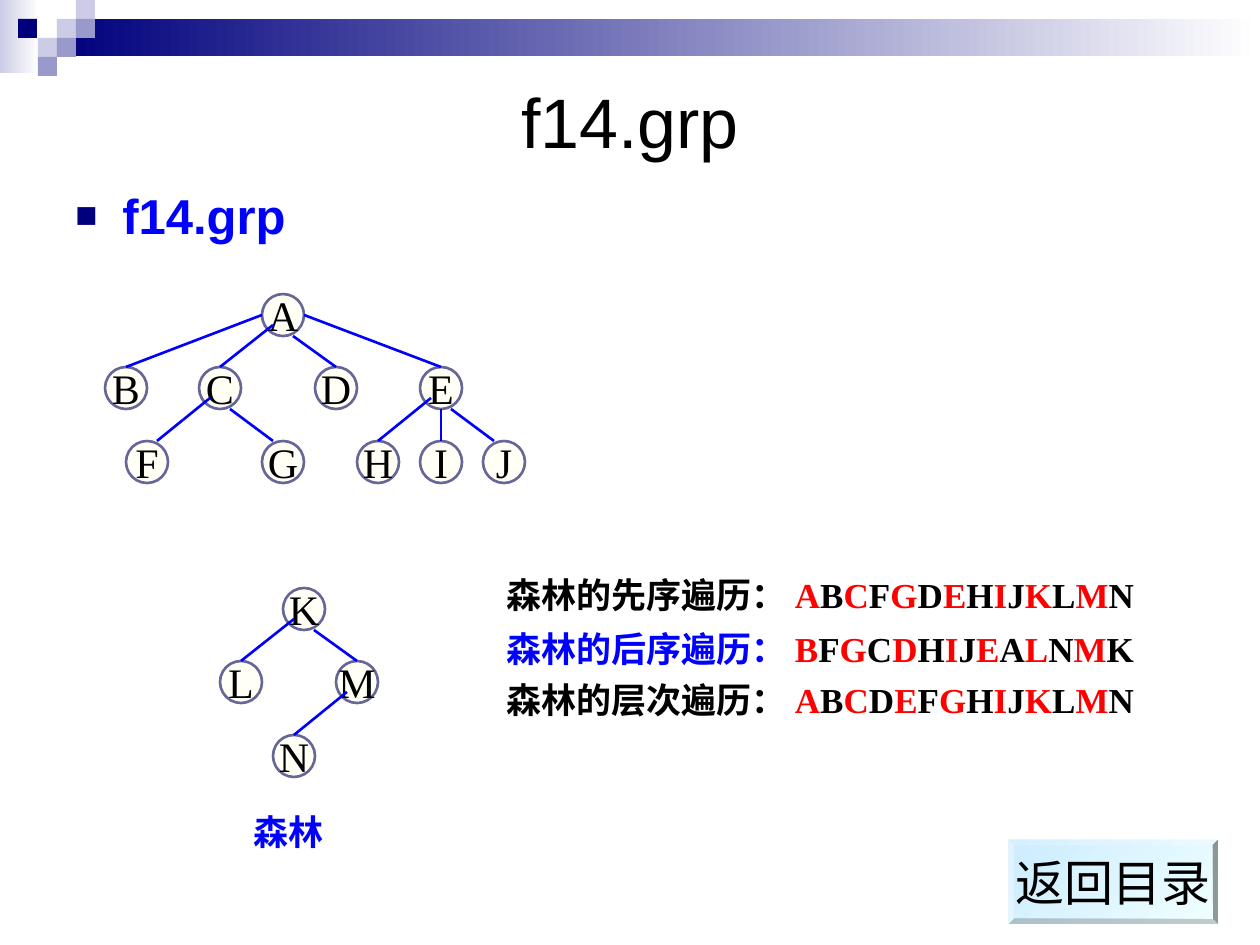
from lxml.etree import SubElement
from pptx import Presentation
from pptx.dml.color import RGBColor
from pptx.enum.shapes import MSO_CONNECTOR as LINE, MSO_SHAPE as SHAPE
from pptx.enum.text import MSO_ANCHOR as ANCHOR, PP_ALIGN as ALIGN
from pptx.oxml.ns import qn
from pptx.util import Emu, Pt

PX = 914400 // 126
BLACK = RGBColor(0x00, 0x00, 0x00)
WHITE = RGBColor(0xFF, 0xFF, 0xFF)
RED = RGBColor(0xFF, 0x00, 0x00)
BLUE = RGBColor(0x00, 0x00, 0xFF)
NAVY = RGBColor(0x00, 0x00, 0x7D)
LILAC = RGBColor(0xCC, 0xCC, 0xE6)
VIOLET = RGBColor(0x99, 0x99, 0xCC)
RING = RGBColor(0x66, 0x66, 0x99)
IVORY = RGBColor(0xFF, 0xFF, 0xF5)
SKY = RGBColor(0xCC, 0xEC, 0xFF)
AZURE = RGBColor(0xF0, 0xFF, 0xFF)
SANS, SERIF = "Arial", "Times New Roman"

prs = Presentation()
prs.slide_width, prs.slide_height = Emu(1260 * PX), Emu(945 * PX)
slide = prs.slides.add_slide(prs.slide_layouts[6])
shapes = slide.shapes


def add_box(kind, box, fill=None, angle=None):
    """Add a shape, or a text box when kind is None; two fill colours make a gradient."""
    at = [Emu(v * PX) for v in box]
    if kind is None:
        return shapes.add_textbox(*at)
    s = shapes.add_shape(kind, *at)
    s.shadow.inherit = False
    s.line.fill.background()
    if angle is None:
        s.fill.solid()
        s.fill.fore_color.rgb = fill
    else:
        s.fill.gradient()
        s.fill.gradient_angle = angle
        for stop, position, color in zip(s.fill.gradient_stops, (0, 1), fill):
            stop.position, stop.color.rgb = position, color
    return s


def write(s, runs, size, font, bold=False, align=ALIGN.CENTER,
          anchor=ANCHOR.MIDDLE, wrap=False, before=0):
    """Fill a shape with one paragraph of (text, colour) runs and return it."""
    tf = s.text_frame
    tf.word_wrap, tf.vertical_anchor = wrap, anchor
    p = tf.paragraphs[0]
    p.alignment, p.space_before = align, Pt(before)
    for text, color in runs:
        r = p.add_run()
        r.text = text
        for name, value in {"size": Pt(size), "name": font, "bold": bold}.items():
            setattr(r.font, name, value)
        r.font.color.rgb = color
    return p


# Header band and squares
add_box(SHAPE.RECTANGLE, (0, 0, 39, 73), (WHITE, LILAC), 180)
add_box(SHAPE.RECTANGLE, (57, 19, 1203, 37), (WHITE, NAVY), 180)
for x, y, color in [(57, 19, LILAC), (76, 0, LILAC), (76, 19, VIOLET), (38, 38, LILAC),
                    (18, 19, NAVY), (57, 38, VIOLET), (38, 57, VIOLET)]:
    add_box(SHAPE.RECTANGLE, (x, y, 19, 19), color)

# Title and bullet
write(add_box(None, (63, 63, 1134, 116)), [("f14.grp", BLACK)], 40, SANS, wrap=True)
p = write(add_box(None, (63, 179, 1134, 672)), [("f14.grp", BLUE)], 28, SANS, True,
          ALIGN.LEFT, ANCHOR.TOP, True, 7)
pPr = p._p.get_or_add_pPr()
pPr.set("marL", str(47 * PX))
pPr.set("indent", str(-47 * PX))
SubElement(SubElement(pPr, qn("a:buClr")), qn("a:srgbClr")).set("val", str(NAVY))
SubElement(pPr, qn("a:buSzPct")).set("val", "75000")
SubElement(pPr, qn("a:buFont")).set("typeface", SANS)
SubElement(pPr, qn("a:buChar")).set("char", "■")

# Forest: node centres, then edges as parent, child, start offset, shift at the child's top
R = 21
rows = [(315, {"A": 283}),
        (388, {"B": 126, "C": 220, "D": 336, "E": 441}),
        (462, {"F": 147, "G": 283, "H": 378, "I": 441, "J": 504}),
        (609, {"K": 304}),
        (682, {"L": 241, "M": 357}),
        (756, {"N": 294})]
centres = {name: (x, y) for y, row in rows for name, x in row.items()}
for name, (x, y) in centres.items():
    s = add_box(SHAPE.OVAL, (x - R, y - R, 2 * R, 2 * R), IVORY)
    s.line.color.rgb, s.line.width = RING, Pt(1.5)
    write(s, [(name, BLACK)], 24, SERIF)

left, right, down = (-R, 0), (R, 0), (0, R)
inner, lower = (-10, 10), (10, R)
edges = [("AB", left, 0), ("AE", right, 0), ("AC", inner, 0), ("AD", lower, 0),
         ("CF", inner, 10), ("CG", lower, -10), ("EH", inner, 0), ("EJ", lower, -10),
         ("EI", down, 0), ("KL", inner, 0), ("KM", lower, 0), ("MN", inner, 0)]
for (parent, child), (dx, dy), shift in edges:
    (x1, y1), (x2, y2) = centres[parent], centres[child]
    ends = (x1 + dx, y1 + dy, x2 + shift, y2 - R)
    c = shapes.add_connector(LINE.STRAIGHT, *[Emu(v * PX) for v in ends])
    c.line.color.rgb, c.line.width = BLUE, Pt(1.5)
    SubElement(c._element.spPr, qn("a:effectLst"))

# Caption and traversals, with letters alternating red and black
write(add_box(None, (136, 804, 305, 55)), [("森林", BLUE)], 20, SERIF, True,
      anchor=ANCHOR.TOP, wrap=True, before=12.5)
for y, label, color, order in [(567, "森林的先序遍历： ", BLACK, "ABCFGDEHIJKLMN"),
                               (621, "森林的后序遍历： ", BLUE, "BFGCDHIJEALNMK"),
                               (672, "森林的层次遍历： ", BLACK, "ABCDEFGHIJKLMN")]:
    letters = [(ch, (RED, BLACK)[i % 2]) for i, ch in enumerate(order)]
    write(add_box(None, (494, y, 730, 55)), [(label, color)] + letters, 20, SERIF, True,
          ALIGN.LEFT, ANCHOR.TOP, True, 12.5)

# Return button
button = add_box(SHAPE.BEVEL, (1008, 840, 210, 84), (AZURE, SKY), 135)
button.adjustments[0] = 0.06
write(button, [("返回目录", BLACK)], 28, SANS)

prs.save("out.pptx")
